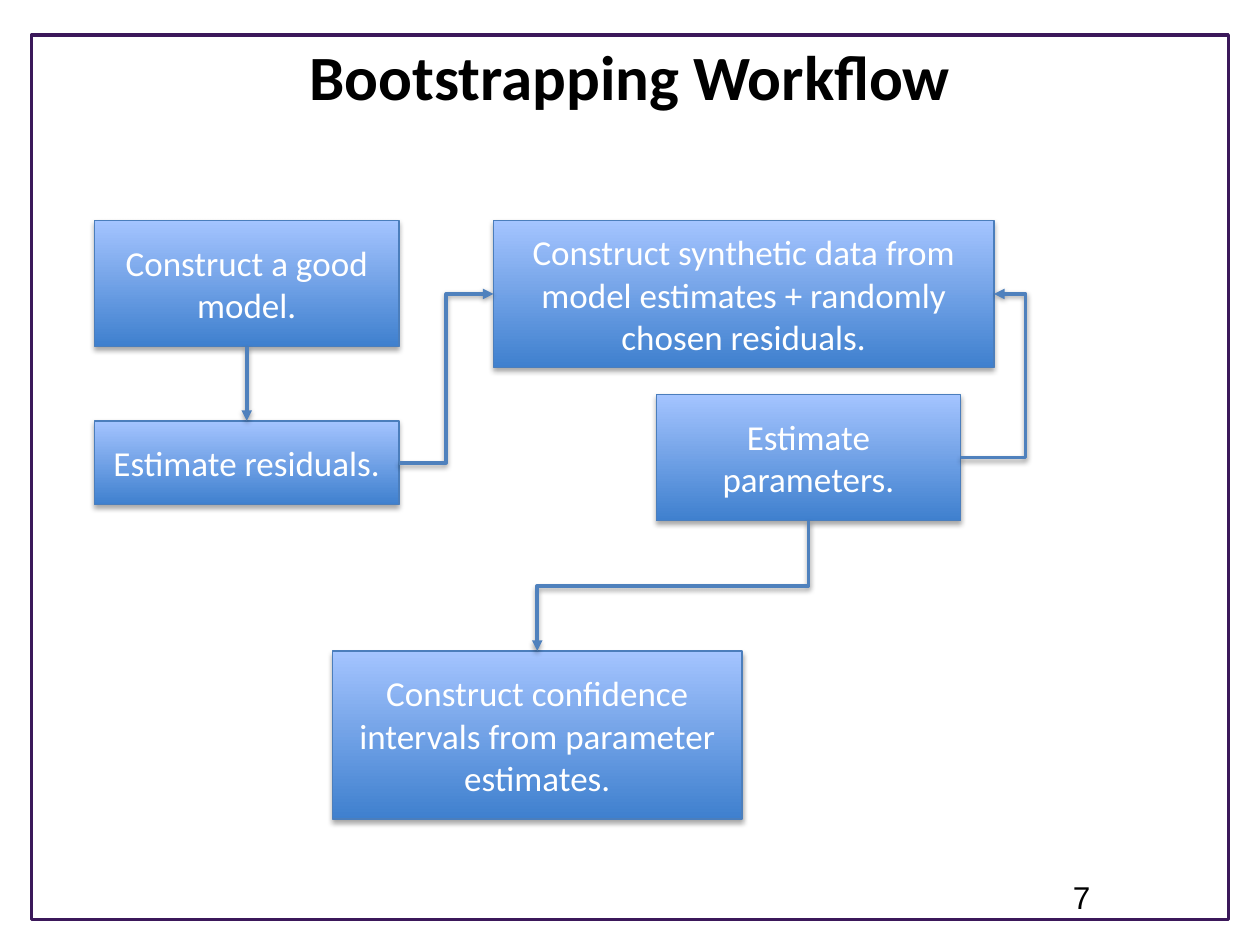
import pptx
import pptx.util
import pptx.dml.color
import pptx.enum.shapes
import pptx.enum.text
import pptx.oxml
import pptx.oxml.ns

Pt = pptx.util.Pt
Rect = pptx.enum.shapes.MSO_SHAPE.RECTANGLE
Elbow = pptx.enum.shapes.MSO_CONNECTOR.ELBOW
Align = pptx.enum.text.PP_ALIGN
Anchor = pptx.enum.text.MSO_ANCHOR
TOP, LEFT, BASE, RIGHT = range(4)  # connection sites of a rectangle

COLORS = {
    "frame": "3B185A", "ink": "000000", "label": "FFFFFF", "low": "3F80CE",
    "high": "A4C4FF", "edge": "4B7EBC", "link": "4F81BD",
}

# name: (box, label)
STEPS = {
    "model": ((54, 126, 174, 72), "Construct a good model."),
    "resid": ((54, 240.5, 174, 48), "Estimate residuals."),
    "data": ((282, 126, 286, 84), "Construct synthetic data from model "
             "estimates + randomly chosen residuals."),
    "param": ((375, 225.5, 174, 72), "Estimate parameters."),
    "bounds": ((190, 372, 234, 96),
               "Construct confidence intervals from parameter estimates."),
}

# from, site, to, site, bend in percent of the run
LINKS = [
    ("param", RIGHT, "data", RIGHT, 195.5),
    ("model", BASE, "resid", TOP, 50),
    ("resid", RIGHT, "data", LEFT, 50),
    ("param", BASE, "bounds", TOP, 50),
]


def color(name):
    return pptx.dml.color.RGBColor.from_string(COLORS[name])


def style(para, size, face, ink, bold=False):
    font = para.font
    font.size, font.name, font.bold = Pt(size), face, bold
    font.color.rgb = color(ink)


def place(shape, box):
    shape.left, shape.top, shape.width, shape.height = map(Pt, box)


def shade(shape, dist, alpha):
    """Add a soft shadow straight below the shape."""
    shape._element.spPr.append(pptx.oxml.parse_xml(
        f'<a:effectLst {pptx.oxml.ns.nsdecls("a")}>'
        f'<a:outerShdw blurRad="{Pt(3.1)}" dist="{Pt(dist)}" dir="5400000" '
        f'rotWithShape="0"><a:srgbClr val="000000">'
        f'<a:alpha val="{alpha * 1000}"/></a:srgbClr></a:outerShdw>'
        f'</a:effectLst>'))


def add_frame(slide, box):
    frame = slide.shapes.add_shape(Rect, *map(Pt, box))
    frame.shadow.inherit = False
    frame.fill.background()
    frame.line.color.rgb = color("frame")
    frame.line.width = Pt(1.75)


def add_title(slide, box, text):
    title = slide.shapes.title
    place(title, box)
    frame = title.text_frame
    frame.text = text
    frame.vertical_anchor = Anchor.TOP
    para = frame.paragraphs[0]
    para.alignment = Align.CENTER
    style(para, 36, "Calibri", "ink", True)


def add_number(slide, box, text):
    frame = slide.shapes.add_textbox(*map(Pt, box)).text_frame
    frame.word_wrap = True
    frame.text = text
    style(frame.paragraphs[0], 18, "Arial", "ink")


def add_step(slide, box, text):
    step = slide.shapes.add_shape(Rect, *map(Pt, box))
    # Gradient runs upwards from dark to light
    step.fill.gradient()
    step.fill.gradient_angle = 90
    for stop, name, spot in zip(step.fill.gradient_stops, ("low", "high"), (0, 1)):
        stop.color.rgb = color(name)
        stop.position = spot
    step.line.color.rgb = color("edge")
    step.line.width = Pt(0.75)
    shade(step, 1.8, 35)
    frame = step.text_frame
    frame.word_wrap = True
    frame.vertical_anchor = Anchor.MIDDLE
    frame.text = text
    para = frame.paragraphs[0]
    para.alignment = Align.CENTER
    style(para, 20, "Calibri", "label")
    return step


def turn(link):
    """Rotate an elbow that runs down to the left, so it leaves downwards."""
    wide, high = link.width, link.height
    mid_x, mid_y = link.left + wide // 2, link.top + high // 2
    link.left, link.top = mid_x - high // 2, mid_y - wide // 2
    link.width, link.height = high, wide
    xfrm = link._element.spPr.xfrm
    xfrm.flipH = False
    xfrm.set("rot", "5400000")


def add_link(slide, start, out, end, into, bend):
    link = slide.shapes.add_connector(Elbow, 0, 0, 0, 0)
    link.begin_connect(start, out)
    link.end_connect(end, into)
    if out == BASE:
        turn(link)
    link.line.color.rgb = color("link")
    link.line.width = Pt(2)
    # Bend position, arrowhead and shadow
    props = link._element.spPr
    guide = pptx.oxml.parse_xml(
        f'<a:gd {pptx.oxml.ns.nsdecls("a")} name="adj1" '
        f'fmla="val {round(bend * 1000)}"/>')
    props.find(".//" + pptx.oxml.ns.qn("a:avLst")).append(guide)
    props.find(pptx.oxml.ns.qn("a:ln")).append(pptx.oxml.parse_xml(
        f'<a:tailEnd {pptx.oxml.ns.nsdecls("a")} type="triangle"/>'))
    shade(link, 1.6, 38)


def add_flow(slide, left, top):
    steps = {}
    for name, ((x, y, wide, high), text) in STEPS.items():
        steps[name] = add_step(slide, (left + x, top + y, wide, high), text)
    for start, out, end, into, bend in LINKS:
        add_link(slide, steps[start], out, steps[end], into, bend)


def main():
    deck = pptx.Presentation()
    deck.slide_width, deck.slide_height = Pt(720), Pt(540)
    slide = deck.slides.add_slide(deck.slide_layouts[5])
    add_frame(slide, (18, 20, 684, 505.5))
    add_title(slide, (36, 18, 648, 66), "Bootstrapping Workflow")
    add_number(slide, (606, 498, 42, 29), "7")
    add_flow(slide, 0, 0)
    deck.save("out.pptx")


if __name__ == "__main__":
    main()
